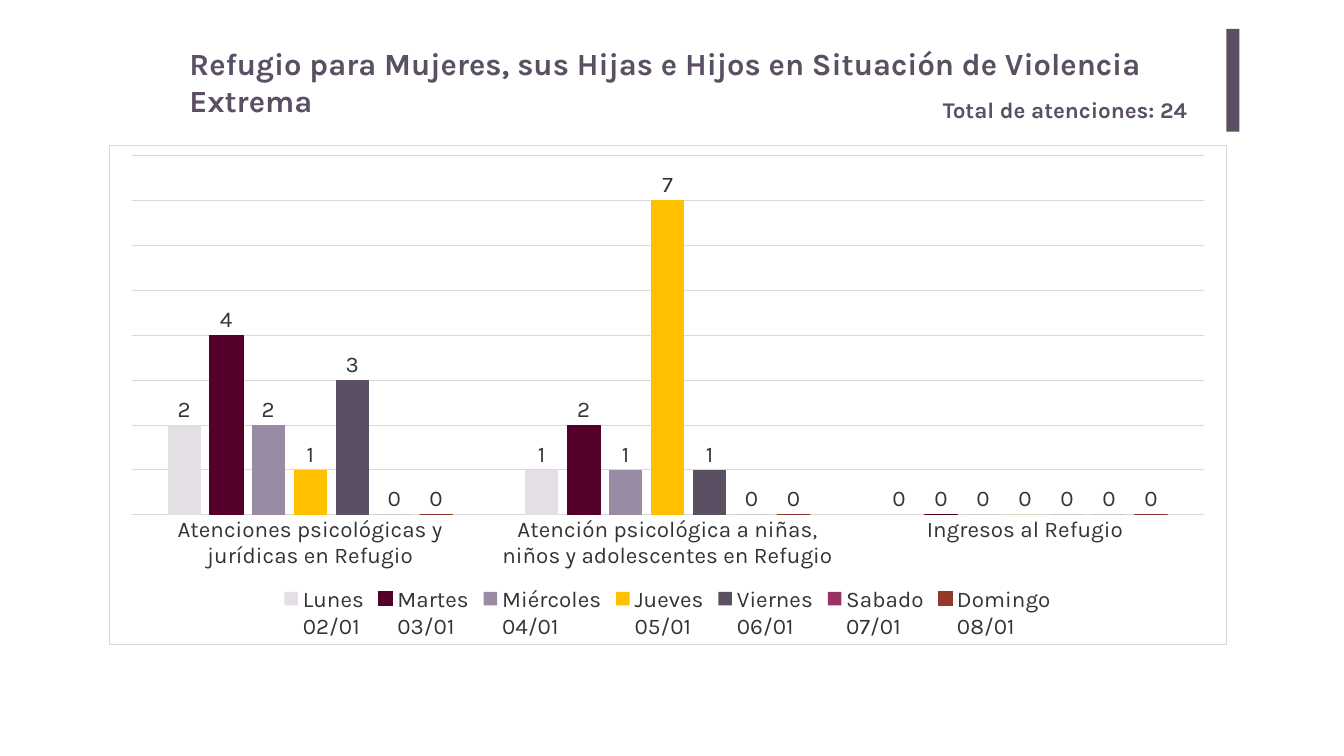
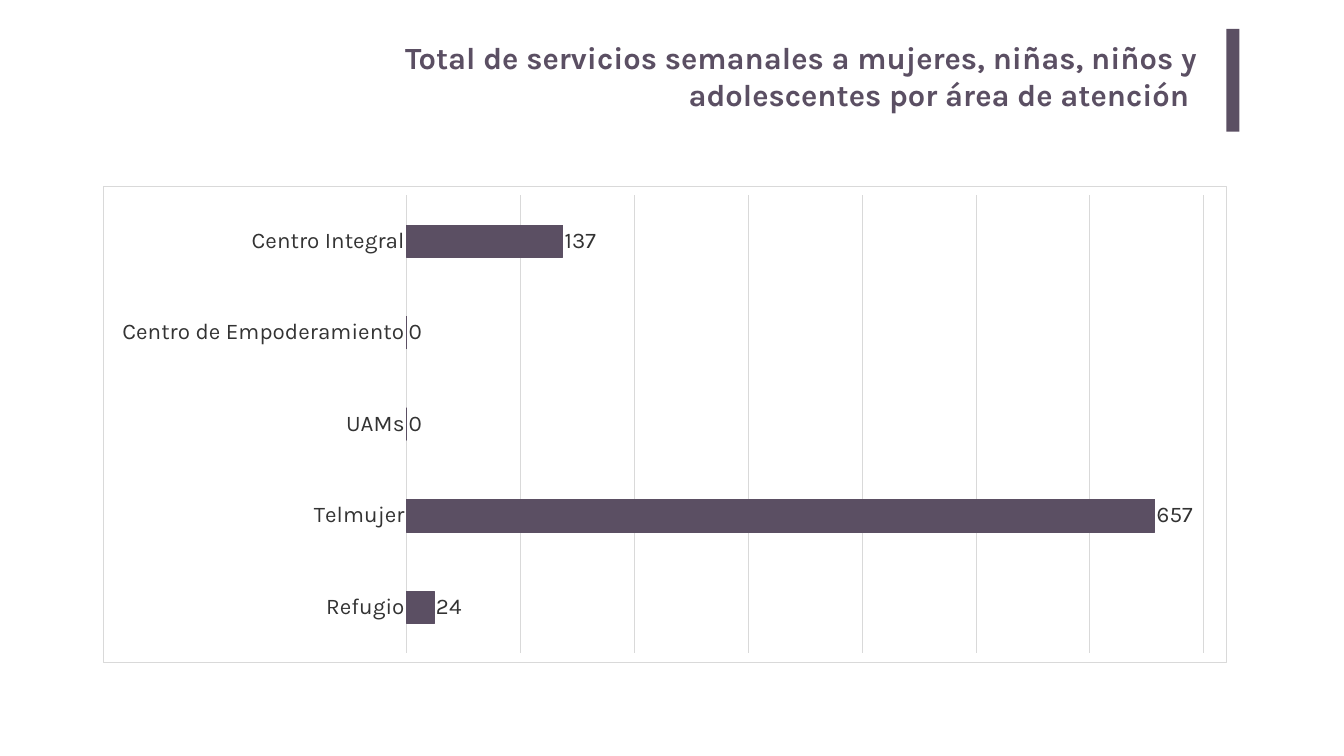
from pptx import Presentation
from pptx.chart.data import CategoryChartData
from pptx.dml.color import RGBColor
from pptx.enum.chart import (XL_CHART_TYPE as ChartType, XL_LABEL_POSITION as LabelPosition,
                             XL_LEGEND_POSITION as LegendPosition, XL_TICK_MARK as TickMark)
from pptx.enum.shapes import MSO_SHAPE as Shape
from pptx.enum.text import MSO_ANCHOR as Anchor, PP_ALIGN as Align
from pptx.oxml import parse_xml
from pptx.oxml.ns import nsdecls, qn
from pptx.util import Cm, Pt

# Shared style
COLORS = {"purple": "5B4F63", "text": "333333", "grid": "D9D9D9", "white": "FFFFFF",
          "pale": "E3DFE5", "wine": "54002A", "lilac": "998BA3", "yellow": "FFC000",
          "magenta": "993366", "rust": "95372B"}
FONT = "Karla"
TITLE_SIZE, LABEL_SIZE, LINE_WIDTH = 44, 32, 0.75
ACCENT_BOX = (61.8, 1.45, 0.66, 5.18)

# Content: boxes are left, top, width, height in cm; plots are fractions of the chart
SLIDES = [
    {
        "texts": [
            {"text": "Refugio para Mujeres, sus Hijas e Hijos en Situación de Violencia Extrema",
             "box": (9.3, 2.13, 52.65, 2.13), "size": TITLE_SIZE},
            {"text": "Total de atenciones: 24",
             "box": (47.27, 4.7, 13.59, 1.63), "size": LABEL_SIZE},
        ],
        "chart": {
            "type": ChartType.COLUMN_CLUSTERED, "box": (5.49, 7.32, 56.31, 25.17),
            "plot": (0.02, 0.02, 0.96, 0.72), "gap": 219, "overlap": -27,
            "maximum": 8, "unit": 1, "legend": True, "reverse": False,
            "categories": ["Atenciones psicológicas y jurídicas en Refugio",
                           "Atención psicológica a niñas, niños y adolescentes en Refugio",
                           "Ingresos al Refugio"],
            # Name, values, colour, outlined
            "series": [("Lunes\n02/01", (2, 1, 0), "pale", False),
                       ("Martes\n03/01", (4, 2, 0), "wine", True),
                       ("Miércoles\n04/01", (2, 1, 0), "lilac", False),
                       ("Jueves\n05/01", (1, 7, 0), "yellow", False),
                       ("Viernes\n06/01", (3, 1, 0), "purple", False),
                       ("Sabado\n07/01", (0, 0, 0), "magenta", False),
                       ("Domingo\n08/01", (0, 0, 0), "rust", True)],
        },
    },
    {
        "texts": [
            {"text": "Total de servicios semanales a mujeres, niñas, niños y "
                     "adolescentes por área de atención ",
             "box": (16.66, 1.7, 44.2, 5.18), "size": TITLE_SIZE,
             "align": Align.RIGHT, "insets": (0.51, 0.25)},
        ],
        "chart": {
            "type": ChartType.BAR_CLUSTERED, "box": (5.21, 9.35, 56.59, 24.05),
            "plot": (0.27, 0.02, 0.71, 0.96), "gap": 182, "overlap": 0,
            "maximum": 700, "unit": 100, "legend": False, "reverse": True,
            "categories": ["Centro Integral", "Centro de Empoderamiento", "UAMs",
                           "Telmujer", "Refugio"],
            "series": [("Series 1", (137, 0, 0, 657, 24), "purple", True)],
        },
    },
]


def rgb(name):
    return RGBColor.from_string(COLORS[name])


def lengths(box):
    return [Cm(value) for value in box]


def set_values(target, values):
    for name, value in values.items():
        setattr(target, name, value)


def style_font(font, size, color, bold=False):
    set_values(font, {"name": FONT, "size": Pt(size), "bold": bold})
    font.color.rgb = rgb(color)


def style_line(line, color):
    line.color.rgb = rgb(color)
    line.width = Pt(LINE_WIDTH)


def add_accent(slide):
    accent = slide.shapes.add_shape(Shape.RECTANGLE, *lengths(ACCENT_BOX))
    accent.shadow.inherit = False
    accent.fill.solid()
    accent.fill.fore_color.rgb = rgb("purple")
    accent.line.fill.background()


def add_text(slide, text, box, size, align=Align.LEFT, insets=(0.25, 0.13)):
    frame = slide.shapes.add_textbox(*lengths(box)).text_frame
    side, edge = lengths(insets)
    set_values(frame, {"word_wrap": True, "vertical_anchor": Anchor.TOP,
                       "margin_left": side, "margin_right": side,
                       "margin_top": edge, "margin_bottom": edge})
    paragraph = frame.paragraphs[0]
    paragraph.alignment = align
    run = paragraph.add_run()
    run.text = text
    style_font(run.font, size, "purple", bold=True)


def frame_chart(chart, plot):
    """Give the chart area its fill and border, and place the plot area."""
    chart_xml = chart._chartSpace.find(qn("c:chart"))
    chart_xml.addnext(parse_xml(
        f'<c:spPr {nsdecls("c", "a")}>'
        f'<a:solidFill><a:srgbClr val="{COLORS["white"]}"/></a:solidFill>'
        f'<a:ln w="{Pt(LINE_WIDTH)}"><a:solidFill><a:srgbClr val="{COLORS["grid"]}"/>'
        '</a:solidFill></a:ln></c:spPr>'))
    plot_area = chart_xml.find(qn("c:plotArea"))
    for layout in plot_area.findall(qn("c:layout")):
        plot_area.remove(layout)
    places = "".join(f'<c:{name} val="{value}"/>' for name, value in zip("xywh", plot))
    plot_area.insert(0, parse_xml(
        f'<c:layout {nsdecls("c")}><c:manualLayout><c:layoutTarget val="inner"/>'
        f'<c:xMode val="edge"/><c:yMode val="edge"/>{places}</c:manualLayout></c:layout>'))


def style_axes(chart, content):
    category_axis, value_axis = chart.category_axis, chart.value_axis
    set_values(category_axis, {"major_tick_mark": TickMark.NONE,
                               "minor_tick_mark": TickMark.NONE,
                               "has_major_gridlines": False,
                               "reverse_order": content["reverse"]})
    style_line(category_axis.format.line, "grid")
    style_font(category_axis.tick_labels.font, LABEL_SIZE, "text")
    set_values(value_axis, {"minimum_scale": 0, "maximum_scale": content["maximum"],
                            "major_unit": content["unit"], "has_major_gridlines": True,
                            "visible": False})
    style_line(value_axis.major_gridlines.format.line, "grid")


def style_series(series, color, outlined):
    series.invert_if_negative = False
    series.format.fill.solid()
    series.format.fill.fore_color.rgb = rgb(color)
    if outlined:
        style_line(series.format.line, color)
    else:
        series.format.line.fill.background()
    labels = series.data_labels
    set_values(labels, {"show_value": True, "position": LabelPosition.OUTSIDE_END})
    style_font(labels.font, LABEL_SIZE, "text")


def add_chart(slide, content):
    data = CategoryChartData()
    data.categories = content["categories"]
    for name, values, _, _ in content["series"]:
        data.add_series(name, values)
    chart = slide.shapes.add_chart(content["type"], *lengths(content["box"]), data).chart
    set_values(chart, {"has_title": False, "has_legend": content["legend"]})
    style_font(chart.font, 10, "text")
    if content["legend"]:
        set_values(chart.legend, {"position": LegendPosition.BOTTOM,
                                  "include_in_layout": False})
        style_font(chart.legend.font, LABEL_SIZE, "text")
    plot = chart.plots[0]
    set_values(plot, {"gap_width": content["gap"], "overlap": content["overlap"],
                      "vary_by_categories": False})
    for series, (_, _, color, outlined) in zip(plot.series, content["series"]):
        style_series(series, color, outlined)
    style_axes(chart, content)
    frame_chart(chart, content["plot"])


def main():
    presentation = Presentation()
    set_values(presentation, {"slide_width": Cm(67.73), "slide_height": Cm(38.1)})
    for content in SLIDES:
        slide = presentation.slides.add_slide(presentation.slide_layouts[6])
        add_accent(slide)
        for text in content["texts"]:
            add_text(slide, **text)
        add_chart(slide, content["chart"])
    presentation.save("out.pptx")


if __name__ == "__main__":
    main()
